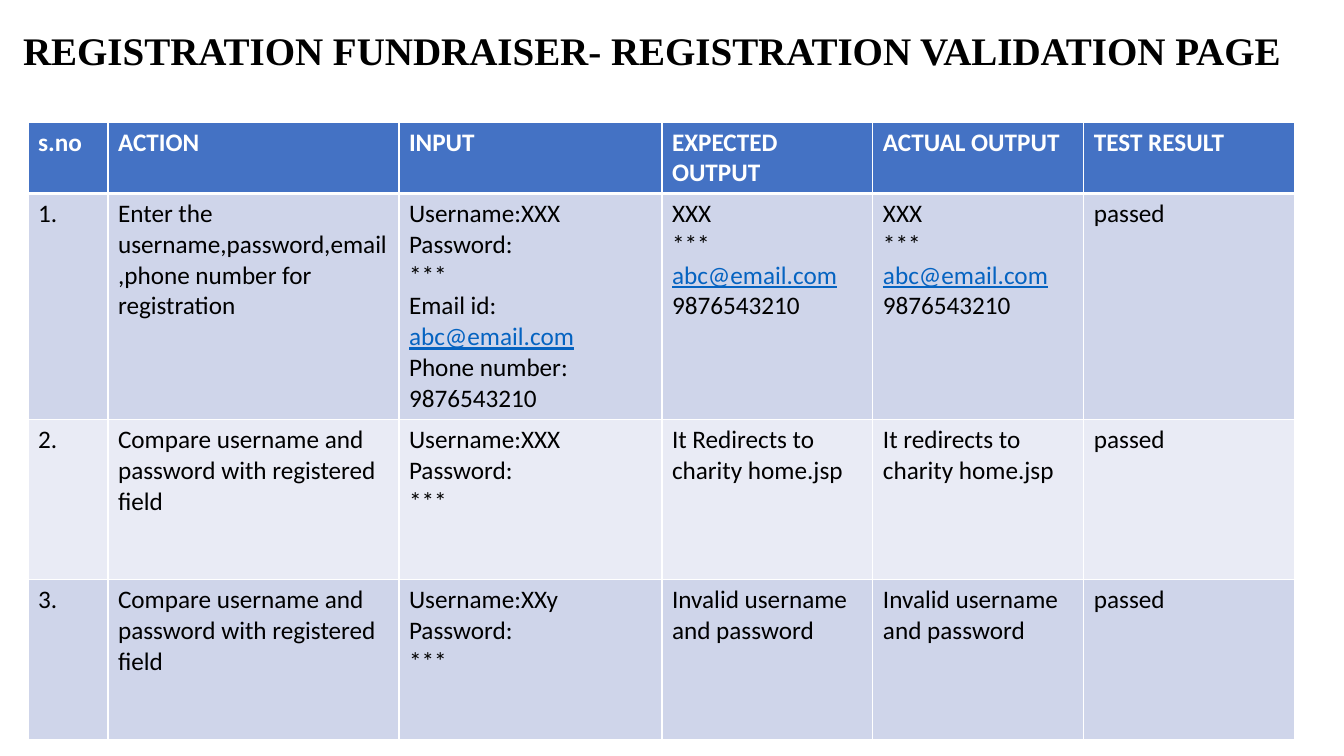
from typing import NamedTuple

from lxml.etree import SubElement
from pptx import Presentation
from pptx.dml.color import RGBColor
from pptx.enum.text import MSO_ANCHOR, MSO_AUTO_SIZE, PP_ALIGN
from pptx.oxml.ns import qn
from pptx.util import Emu, Pt

SLIDE_W, SLIDE_H = 1344, 756
EMU_PER_PX = 12192000 / SLIDE_W
TITLE = "REGISTRATION FUNDRAISER- REGISTRATION VALIDATION PAGE"
WHITE, BLACK, HEADER, LINK = "FFFFFF", "000000", "4472C4", "0563C1"
BANDS = ("CFD5EA", "E9EBF5")
EMAIL, PHONE = "abc@email.com", "9876543210"
LOGIN = "Username:XXX\nPassword:\n***"
ECHO = f"XXX\n***\n{EMAIL}\n{PHONE}"
COMPARE = "Compare username and password with registered field"
INVALID = "Invalid username and password"


class Column(NamedTuple):
    """A table column with its heading and width in px."""
    heading: str
    width: int


class TestCase(NamedTuple):
    """A tested action, its height in px and what each column says."""
    height: int
    action: str
    entered: str
    expected: str
    actual: str
    result: str = "passed"


COLUMNS = (
    Column("s.no", 80),
    Column("ACTION", 291),
    Column("INPUT", 263),
    Column("EXPECTED OUTPUT", 211),
    Column("ACTUAL OUTPUT", 211),
    Column("TEST RESULT", 211),
)
HEADER_H = 67
CASES = (
    TestCase(226, "Enter the username,password,email,phone number for registration",
             f"{LOGIN}\nEmail id:\n{EMAIL}\nPhone number:\n{PHONE}", ECHO, ECHO),
    TestCase(160, COMPARE, LOGIN, "It Redirects to charity home.jsp",
             "It redirects to charity home.jsp"),
    TestCase(160, COMPARE, "Username:XXy\nPassword:\n***", INVALID, INVALID),
)


def px(n: int) -> Emu:
    """Turn px into EMU."""
    return Emu(round(n * EMU_PER_PX))


def rgb(color: str) -> RGBColor:
    """Turn a hex string into a colour."""
    return RGBColor.from_string(color)


def style_run(r, font: str, size: float, color: str, bold: bool) -> None:
    """Set the font of a run."""
    r.font.name, r.font.size, r.font.bold = font, Pt(size), bold
    r.font.color.rgb = rgb(color)


def add_border(cell, side: str, width: float) -> None:
    """Draw a white line along one side of a cell."""
    tc_pr = cell._tc.get_or_add_tcPr()
    ln = SubElement(tc_pr, qn(f"a:ln{side}"), w=str(Pt(width)))
    SubElement(SubElement(ln, qn("a:solidFill")), qn("a:srgbClr"), val=WHITE)


def fill_cell(cell, text: str, row: int) -> None:
    """Write and format a cell according to its row."""
    header = row == 0
    cell.text_frame.text = text
    for p in cell.text_frame.paragraphs:
        for r in p.runs:
            is_link = r.text == EMAIL
            color = WHITE if header else LINK if is_link else BLACK
            style_run(r, "Calibri", 18, color, header)
            r.font.underline = is_link
    thick = {"B"} if header else {"T"} if row == 1 else set()
    for side in "LRTB":
        add_border(cell, side, 3 if side in thick else 1)
    cell.fill.solid()
    cell.fill.fore_color.rgb = rgb(HEADER if header else BANDS[(row - 1) % 2])


def add_title(s) -> None:
    """Place the slide title."""
    sp = s.shapes.title
    sp.left, sp.top, sp.width, sp.height = px(13), px(27), px(1301), px(80)
    tf = sp.text_frame
    tf.text = TITLE
    tf.auto_size, tf.vertical_anchor = MSO_AUTO_SIZE.NONE, MSO_ANCHOR.TOP
    p = tf.paragraphs[0]
    p.alignment, p.line_spacing = PP_ALIGN.LEFT, 0.9
    style_run(p.runs[0], "Times New Roman", 27.9, BLACK, True)


def add_test_table(s) -> None:
    """Place the table of test cases."""
    heights = [HEADER_H, *(case.height for case in CASES)]
    rows = [[col.heading for col in COLUMNS]]
    rows += [[f"{i}.", *case[1:]] for i, case in enumerate(CASES, 1)]
    total_w = sum(col.width for col in COLUMNS)
    table = s.shapes.add_table(len(rows), len(COLUMNS), px(28), px(122),
                               px(total_w), px(sum(heights))).table
    for i, col in enumerate(COLUMNS):
        table.columns[i].width = px(col.width)
    for i, (height, texts) in enumerate(zip(heights, rows)):
        table.rows[i].height = px(height)
        for j, text in enumerate(texts):
            fill_cell(table.cell(i, j), text, i)


def main() -> None:
    """Build and save the slide."""
    prs = Presentation()
    prs.slide_width, prs.slide_height = px(SLIDE_W), px(SLIDE_H)
    s = prs.slides.add_slide(prs.slide_layouts[5])
    add_title(s)
    add_test_table(s)
    prs.save("out.pptx")


if __name__ == "__main__":
    main()
